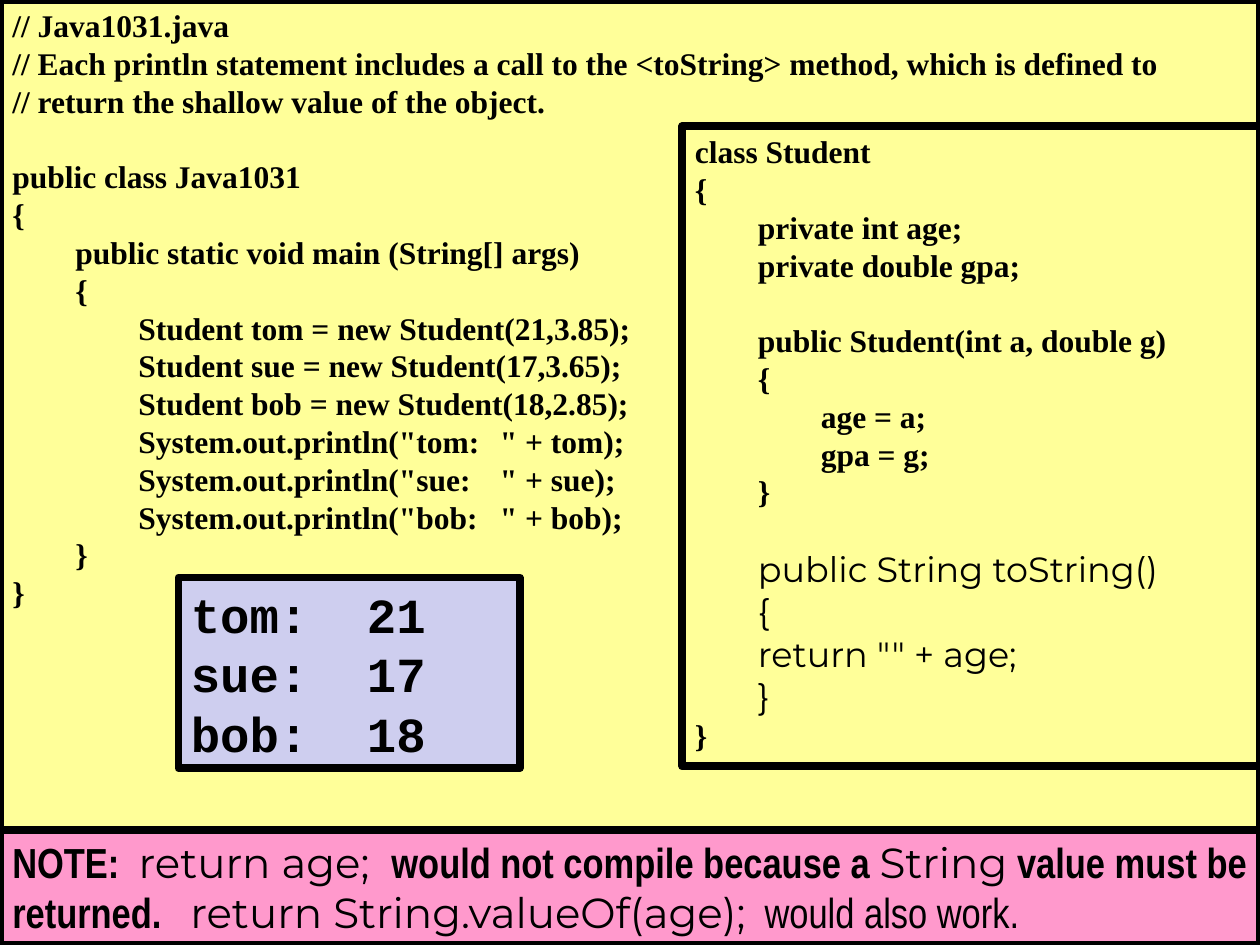
from lxml.etree import SubElement
from pptx import Presentation
from pptx.dml.color import RGBColor
from pptx.enum.shapes import MSO_SHAPE as SHAPE
from pptx.enum.text import MSO_ANCHOR as ANCHOR, PP_ALIGN as ALIGN
from pptx.oxml.ns import qn
from pptx.util import Pt

BLACK = RGBColor(0x00, 0x00, 0x00)
YELLOW = RGBColor(0xFF, 0xFF, 0x99)
LAVENDER = RGBColor(0xCE, 0xCE, 0xEF)
PINK = RGBColor(0xFF, 0x99, 0xCC)

CODE = {"name": "Times New Roman", "size": Pt(18), "bold": True}
METHOD = {"name": "Montserrat", "size": Pt(20), "bold": False}
OUTPUT = {"name": "Courier New", "size": Pt(28), "bold": True}
NOTE = {"name": "Arial Narrow", "size": Pt(24), "bold": True}
NOTE_PLAIN = {**NOTE, "bold": False}
NOTE_CODE = {**METHOD, "size": Pt(24)}

CODE_LINE = Pt(21.6)
OUTPUT_LINE = Pt(34)
TAB_STOPS = (36, 72, 278.6)

PROGRAM = """// Java1031.java
// Each println statement includes a call to the <toString> method, which is defined to
// return the shallow value of the object.

public class Java1031
{
\tpublic static void main (String[] args)
\t{
\t\tStudent tom = new Student(21,3.85);
\t\tStudent sue = new Student(17,3.65);
\t\tStudent bob = new Student(18,2.85);
\t\tSystem.out.println("tom:\t" + tom);
\t\tSystem.out.println("sue:\t" + sue);
\t\tSystem.out.println("bob:\t" + bob);
\t}
}"""

STUDENT_TOP = """class Student
{
\tprivate int age;
\tprivate double gpa;

\tpublic Student(int a, double g)
\t{
\t\tage = a;
\t\tgpa = g;
\t}"""

TO_STRING = """
\tpublic String toString()
\t{
\treturn "" + age;
\t}"""

RESULTS = """tom:  21
sue:  17
bob:  18"""

NOTE_RUNS = [
    ("NOTE:  ", NOTE),
    ("return age;  ", NOTE_CODE),
    ("would not compile because a ", NOTE),
    ("String", NOTE_CODE),
    (" value must be returned.   ", NOTE),
    ("return String.valueOf(age);", NOTE_CODE),
    ("  would also work.", NOTE_PLAIN),
]


def add_panel(slide, box, fill):
    sp = slide.shapes.add_shape(SHAPE.RECTANGLE, *map(Pt, box))
    sp.shadow.inherit = False
    sp.fill.solid()
    sp.fill.fore_color.rgb = fill
    sp.line.color.rgb = BLACK
    sp.line.width = Pt(4.5)
    tf = sp.text_frame
    tf.word_wrap = True
    tf.vertical_anchor = ANCHOR.TOP
    return tf


def add_run(p, text, style):
    r = p.add_run()
    r.text = text
    for key, value in style.items():
        setattr(r.font, key, value)
    r.font.color.rgb = BLACK


def add_tabs(p):
    tabs = SubElement(p._p.get_or_add_pPr(), qn("a:tabLst"))
    for stop in TAB_STOPS:
        SubElement(tabs, qn("a:tab"), pos=str(Pt(stop)), algn="l")


def add_lines(tf, sections):
    p = tf.paragraphs[0]
    for text, style, spacing in sections:
        gap = Pt(0)
        for line in text.split("\n"):
            if not line:
                gap = CODE_LINE
                continue
            if p.runs:
                p = tf.add_paragraph()
            p.alignment = ALIGN.LEFT
            p.line_spacing = spacing
            p.space_before = gap
            add_tabs(p)
            add_run(p, line, style)
            gap = Pt(0)


def add_program(slide, box):
    add_lines(add_panel(slide, box, YELLOW), [(PROGRAM, CODE, CODE_LINE)])


def add_student(slide, box):
    add_lines(add_panel(slide, box, YELLOW), [
        (STUDENT_TOP, CODE, CODE_LINE),
        (TO_STRING, METHOD, 1.0),
        ("}", CODE, CODE_LINE),
    ])


def add_output(slide, box):
    add_lines(add_panel(slide, box, LAVENDER), [(RESULTS, OUTPUT, OUTPUT_LINE)])


def add_note(slide, box):
    p = add_panel(slide, box, PINK).paragraphs[0]
    p.alignment = ALIGN.LEFT
    for text, style in NOTE_RUNS:
        add_run(p, text, style)


def main():
    prs = Presentation()
    prs.slide_width, prs.slide_height = Pt(720), Pt(540)
    slide = prs.slides.add_slide(prs.slide_layouts[6])
    add_program(slide, (0, 0, 720, 540))
    add_student(slide, (390, 72, 330, 366))
    add_output(slide, (102, 330, 195, 109))
    add_note(slide, (0, 474.5, 720, 65.5))
    prs.save("out.pptx")


if __name__ == "__main__":
    main()
